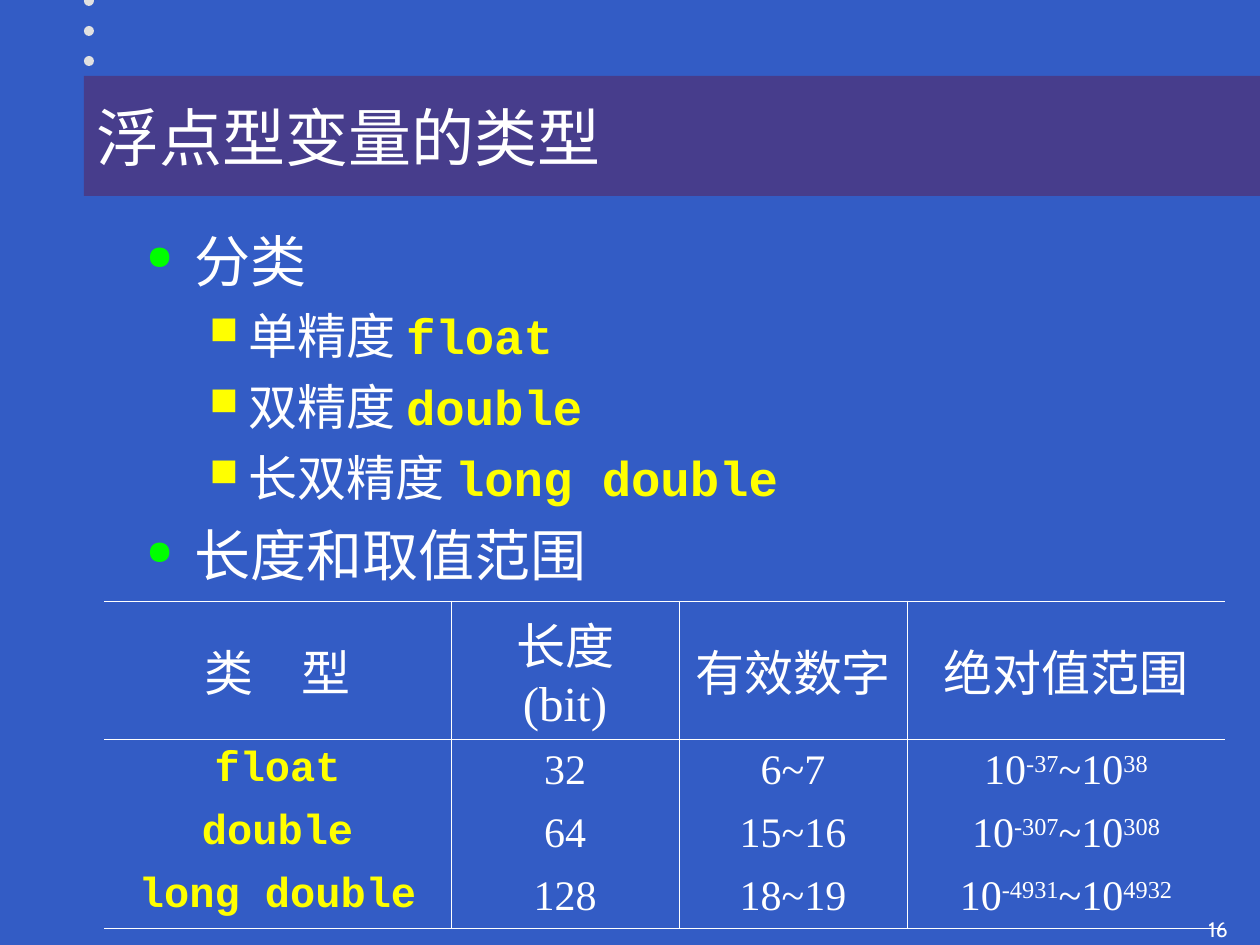
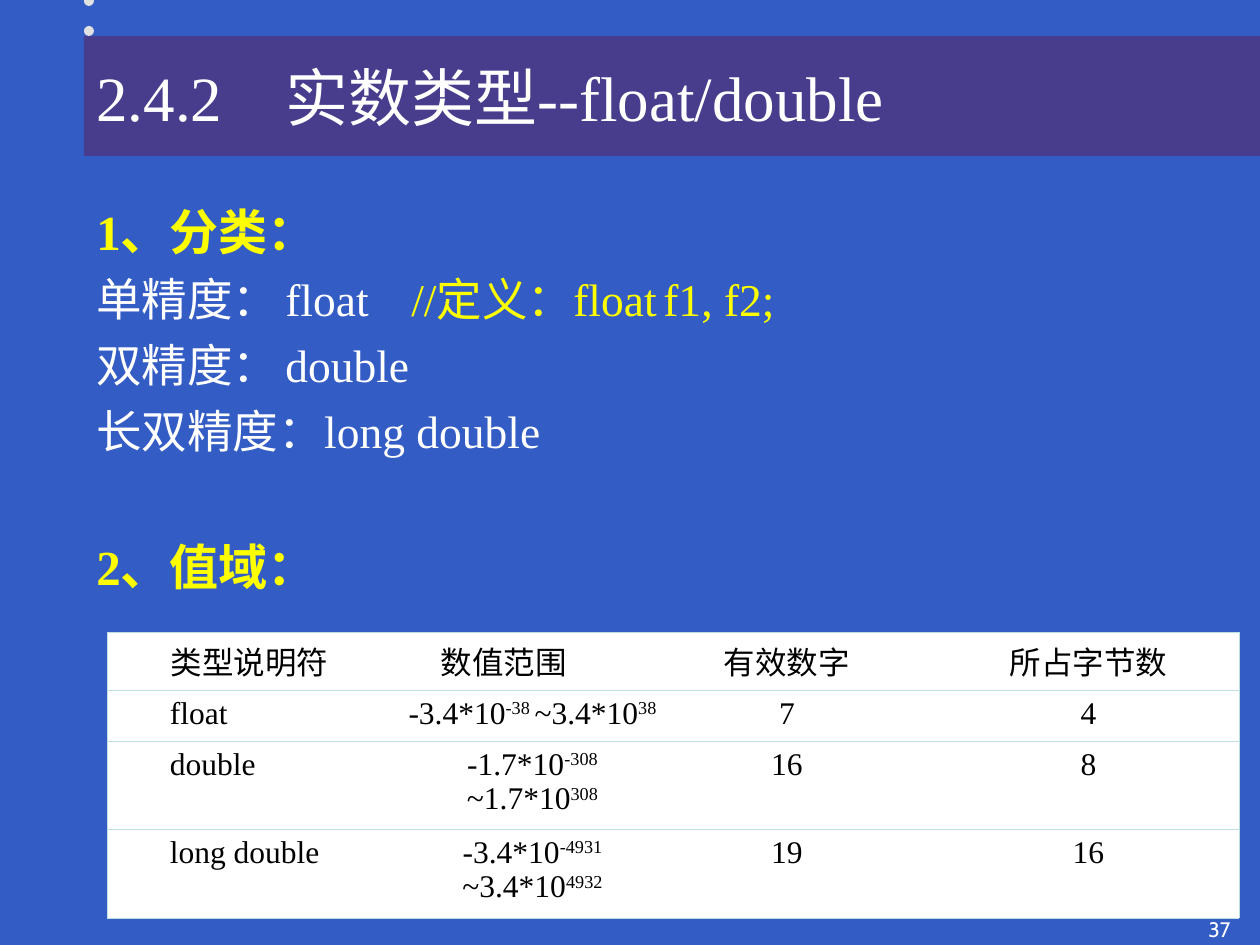
from dataclasses import dataclass, replace
from typing import NamedTuple

from lxml.etree import SubElement
from pptx import Presentation
from pptx.dml.color import RGBColor
from pptx.enum.lang import MSO_LANGUAGE_ID
from pptx.enum.shapes import MSO_SHAPE
from pptx.enum.text import MSO_ANCHOR, PP_ALIGN
from pptx.oxml.ns import qn
from pptx.util import Emu, Pt

PX_PER_INCH = 126
PLAIN_TABLE_STYLE = "{2D5ABB26-0587-4C30-8999-92F81FD0307C}"


def px(length: int) -> Emu:
    return Emu(round(length * 914400 / PX_PER_INCH))


class Look(NamedTuple):
    size: int
    color: str
    name: str = "Times New Roman"
    bold: bool = False


@dataclass(frozen=True)
class Theme:
    background: str = "335CC5"
    band: str = "473D8C"
    dot: str = "E1E1E1"
    green: str = "00FF00"
    yellow: str = "FFFF00"
    white: str = "FFFFFF"
    pale: str = "BBE0E3"
    title: Look = Look(36, "FFFFFF")
    number: Look = Look(12, "FFFFFF", "Cabin")
    topic: Look = Look(32, "FFFFFF")
    entry: Look = Look(28, "FFFFFF")
    keyword: Look = Look(28, "FFFF00", "Courier New", True)
    heading: Look = Look(28, "FFFF00", bold=True)
    body: Look = Look(26, "FFFFFF")
    comment: Look = Look(26, "FFFF00")
    value: Look = Look(24, "FFFFFF")
    type_name: Look = Look(24, "FFFF00", "Courier New", True)
    sheet: Look = Look(18, "000000")


THEME = Theme()


class Rect(NamedTuple):
    left: int
    top: int
    width: int
    height: int

    def emu(self) -> list[Emu]:
        return [px(length) for length in self]


class Span(NamedTuple):
    text: str
    look: Look
    raised: bool = False


class Bullet(NamedTuple):
    char: str
    color: str
    percent: int


@dataclass(frozen=True)
class Line:
    spans: list[Span]
    align: PP_ALIGN = PP_ALIGN.LEFT
    before: float = 0
    margin: int = 0
    hanging: int = 0
    bullet: Bullet | None = None
    tabs: tuple[int, ...] = ()


class Placement(NamedTuple):
    align: PP_ALIGN = PP_ALIGN.CENTER
    margin: int = 0


class Column(NamedTuple):
    width: int
    body: Placement = Placement()
    head: Placement = Placement()


@dataclass(frozen=True)
class Grid:
    left: int
    top: int
    columns: list[Column]
    heights: list[int]
    rows: list[list[list[Span]]]
    border: str
    fill: str | None
    anchor: MSO_ANCHOR
    insets: tuple[int, int]
    rule_every_row: bool
    closed_sides: bool
    inner_columns: bool


def powers(look: Look, *parts: str) -> list[Span]:
    """Alternate between text on the baseline and exponents."""
    return [Span(part, look, index % 2 == 1) for index, part in enumerate(parts)]


def set_format(target, values: dict) -> None:
    for name, value in values.items():
        setattr(target, name, value)


def add_span(para, span: Span) -> None:
    for index, piece in enumerate(span.text.split("\n")):
        if index:
            para.add_line_break()
        run = para.add_run()
        run.text = piece
        values = span.look._asdict()
        run.font.color.rgb = RGBColor.from_string(values.pop("color"))
        values["size"] = Pt(span.look.size)
        values["language_id"] = MSO_LANGUAGE_ID.SIMPLIFIED_CHINESE
        set_format(run.font, values)
        if span.raised:
            run._r.get_or_add_rPr().set("baseline", "30000")


def add_line(para, line: Line) -> None:
    properties = para._p.get_or_add_pPr()
    properties.set("marL", str(px(line.margin)))
    properties.set("indent", str(-px(line.hanging)))
    if line.bullet:
        color = SubElement(properties, qn("a:buClr"))
        SubElement(color, qn("a:srgbClr"), val=line.bullet.color)
        SubElement(properties, qn("a:buSzPct"), val=str(line.bullet.percent * 1000))
        SubElement(properties, qn("a:buChar"), char=line.bullet.char)
    else:
        SubElement(properties, qn("a:buNone"))
    if line.tabs:
        stops = SubElement(properties, qn("a:tabLst"))
        for stop in line.tabs:
            SubElement(stops, qn("a:tab"), pos=str(px(stop)), algn="l")
    set_format(para, {"alignment": line.align, "space_before": Pt(line.before)})
    for span in line.spans:
        add_span(para, span)


def write_lines(frame, lines: list[Line]) -> None:
    frame.word_wrap = True
    for index, line in enumerate(lines):
        add_line(frame.add_paragraph() if index else frame.paragraphs[0], line)


def add_text(page, rect: Rect, lines: list[Line]) -> None:
    write_lines(page.shapes.add_textbox(*rect.emu()).text_frame, lines)


def add_filled(page, kind: MSO_SHAPE, rect: Rect, color: str):
    shape = page.shapes.add_shape(kind, *rect.emu())
    shape.shadow.inherit = False
    shape.fill.solid()
    shape.fill.fore_color.rgb = RGBColor.from_string(color)
    shape.line.fill.background()
    return shape


def add_page(deck, title: Line, band_top: int, number: str):
    """Add a slide with dots, title band and slide number."""
    page = deck.slides.add_slide(deck.slide_layouts[6])
    for index in range(3):
        add_filled(page, MSO_SHAPE.OVAL, Rect(84, 30 * index - 4, 10, 10), THEME.dot)
    band = add_filled(page, MSO_SHAPE.RECTANGLE, Rect(84, band_top, 1176, 120), THEME.band)
    band.text_frame.vertical_anchor = MSO_ANCHOR.MIDDLE
    write_lines(band.text_frame, [title])
    add_text(page, Rect(1196, 910, 64, 35), [Line([Span(number, THEME.number)])])
    return page


def draw_borders(cell, sides: dict[str, bool], color: str) -> None:
    properties = cell._tc.get_or_add_tcPr()
    for side, visible in sides.items():
        edge = SubElement(properties, qn(f"a:ln{side}"), w=str(Pt(0.45)))
        if visible:
            SubElement(SubElement(edge, qn("a:solidFill")), qn("a:srgbClr"), val=color)
        else:
            SubElement(edge, qn("a:noFill"))


def add_grid(page, grid: Grid) -> None:
    rect = Rect(grid.left, grid.top, sum(column.width for column in grid.columns), sum(grid.heights))
    last_row, last_column = len(grid.heights) - 1, len(grid.columns) - 1
    frame = page.shapes.add_table(last_row + 1, last_column + 1, *rect.emu())
    table = frame.table
    set_format(table, {"first_row": False, "horz_banding": False})
    table._tbl.tblPr.find(qn("a:tableStyleId")).text = PLAIN_TABLE_STYLE
    for index, column in enumerate(grid.columns):
        table.columns[index].width = px(column.width)
    side, edge = map(px, grid.insets)
    for row, spans_of_row in enumerate(grid.rows):
        table.rows[row].height = px(grid.heights[row])
        for index, spans in enumerate(spans_of_row):
            cell = table.cell(row, index)
            set_format(cell, {"margin_left": side, "margin_right": side, "margin_top": edge,
                              "margin_bottom": edge, "vertical_anchor": grid.anchor})
            draw_borders(cell, {
                "L": grid.inner_columns if index else grid.closed_sides,
                "R": grid.inner_columns if index < last_column else grid.closed_sides,
                "T": grid.rule_every_row or row <= 1,
                "B": grid.rule_every_row or row in (0, last_row),
            }, grid.border)
            if grid.fill:
                cell.fill.solid()
                cell.fill.fore_color.rgb = RGBColor.from_string(grid.fill)
            else:
                cell.fill.background()
            place = grid.columns[index].body if row else grid.columns[index].head
            write_lines(cell.text_frame, [Line(spans, place.align, margin=place.margin)])


def add_variable_types(deck) -> None:
    page = add_page(deck, Line([Span("浮点型变量的类型", THEME.title)]), 76, "16")
    topic = Line([Span("分类", THEME.topic)], margin=48, hanging=48,
                 bullet=Bullet("●", THEME.green, 60))
    entries = [
        Line([Span(f"{label} ", THEME.entry), Span(keyword, THEME.keyword)], before=7,
             margin=102, hanging=39, bullet=Bullet("■", THEME.yellow, 80))
        for label, keyword in (("单精度", "float"), ("双精度", "double"), ("长双精度", "long double"))
    ]
    ranges = replace(topic, spans=[Span("长度和取值范围", THEME.topic)], before=8)
    add_text(page, Rect(134, 220, 1063, 659), [topic, *entries, ranges])

    header = [[Span(text, THEME.entry)] for text in ("类　型", "长度\n(bit)", "有效数字", "绝对值范围")]
    rows = [
        [[Span(name, THEME.type_name)], [Span(bits, THEME.value)], [Span(digits, THEME.value)],
         powers(THEME.value, "10", low, "~10", high)]
        for name, bits, digits, low, high in (
            ("float", "32", "6~7", "-37", "38"),
            ("double", "64", "15~16", "-307", "308"),
            ("long double", "128", "18~19", "-4931", "4932"),
        )
    ]
    add_grid(page, Grid(
        104, 601, [Column(width) for width in (347, 228, 228, 318)], [138, 63, 63, 63],
        [header, *rows], THEME.white, None, MSO_ANCHOR.MIDDLE, (13, 6),
        rule_every_row=False, closed_sides=False, inner_columns=True))


def add_real_types(deck) -> None:
    title = Line([Span("2.4.2\t实数类型--float/double", THEME.title)], tabs=(174,))
    page = add_page(deck, title, 36, "37")
    stops = (234, 488, 778)
    add_text(page, Rect(84, 195, 1111, 649), [
        Line([Span("1、分类：", THEME.heading)]),
        Line([Span("单精度：\tfloat\t", THEME.body), Span("//定义：float\tf1, f2;", THEME.comment)],
             before=6.5, tabs=stops),
        Line([Span("双精度：\tdouble", THEME.body)], before=6.5, tabs=stops),
        Line([Span("长双精度：long double", THEME.body)], before=6.5),
        Line([Span("2、值域：", THEME.heading)], before=45),
    ])

    look = THEME.sheet
    header = [[Span(text, look)] for text in ("类型说明符", "数值范围", "有效数字", "所占字节数")]
    rows = [
        [[Span(name, look)], powers(look, f"-{factor}*10", f"{low} ", f"~{factor}*10", high),
         [Span(digits, look)], [Span(size, look)]]
        for name, factor, low, high, digits, size in (
            ("float", "3.4", "-38", "38", "7", "4"),
            ("double", "1.7", "-308", "308", "16", "8"),
            ("long double", "3.4", "-4931", "4932", "19", "16"),
        )
    ]
    shifted = Placement(margin=37)
    columns = [
        Column(248, Placement(PP_ALIGN.LEFT, 53), shifted),
        Column(318, shifted, Placement(PP_ALIGN.LEFT, 76)),
        Column(228),
        Column(338, shifted, shifted),
    ]
    add_grid(page, Grid(
        107, 632, columns, [58, 51, 88, 89], [header, *rows], THEME.pale, THEME.white,
        MSO_ANCHOR.TOP, (10, 6), rule_every_row=True, closed_sides=True, inner_columns=False))


def main() -> None:
    deck = Presentation()
    set_format(deck, {"slide_width": px(1260), "slide_height": px(945)})
    backdrop = deck.slide_master.background.fill
    backdrop.solid()
    backdrop.fore_color.rgb = RGBColor.from_string(THEME.background)
    add_variable_types(deck)
    add_real_types(deck)
    deck.save("out.pptx")


if __name__ == "__main__":
    main()
